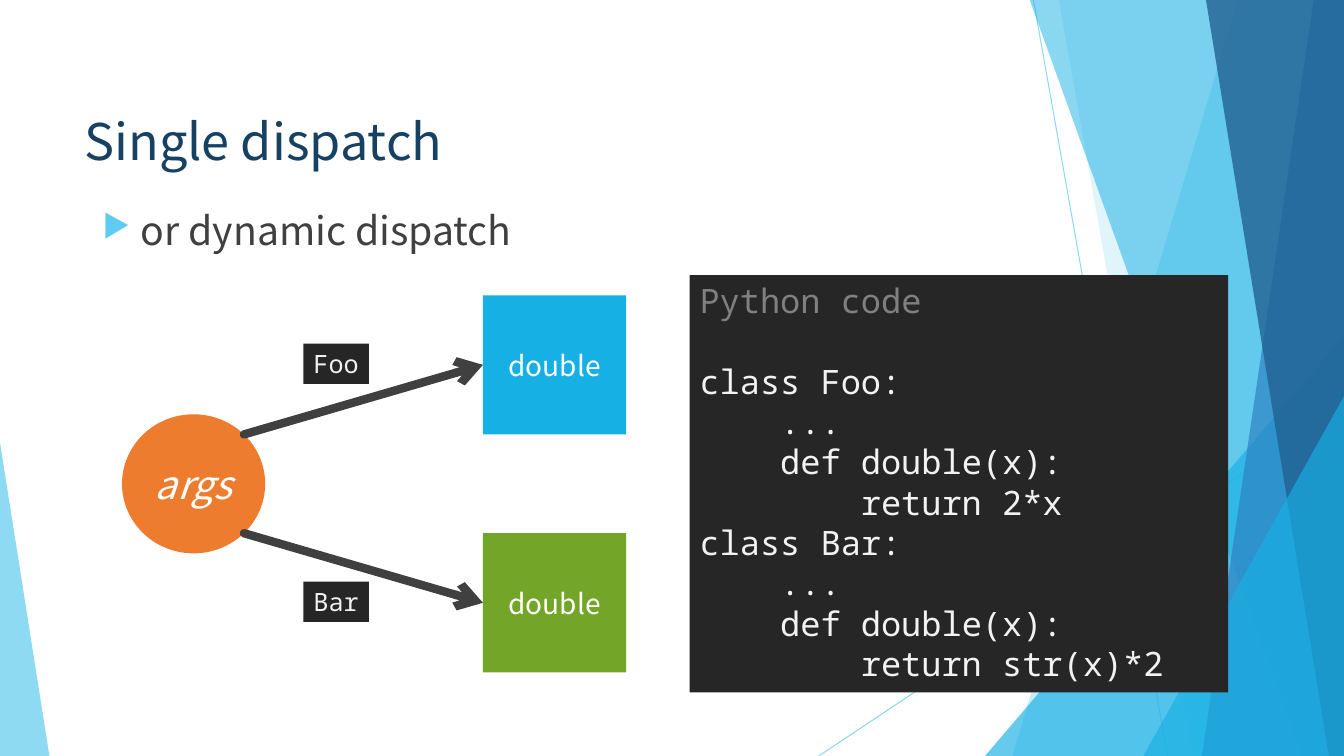
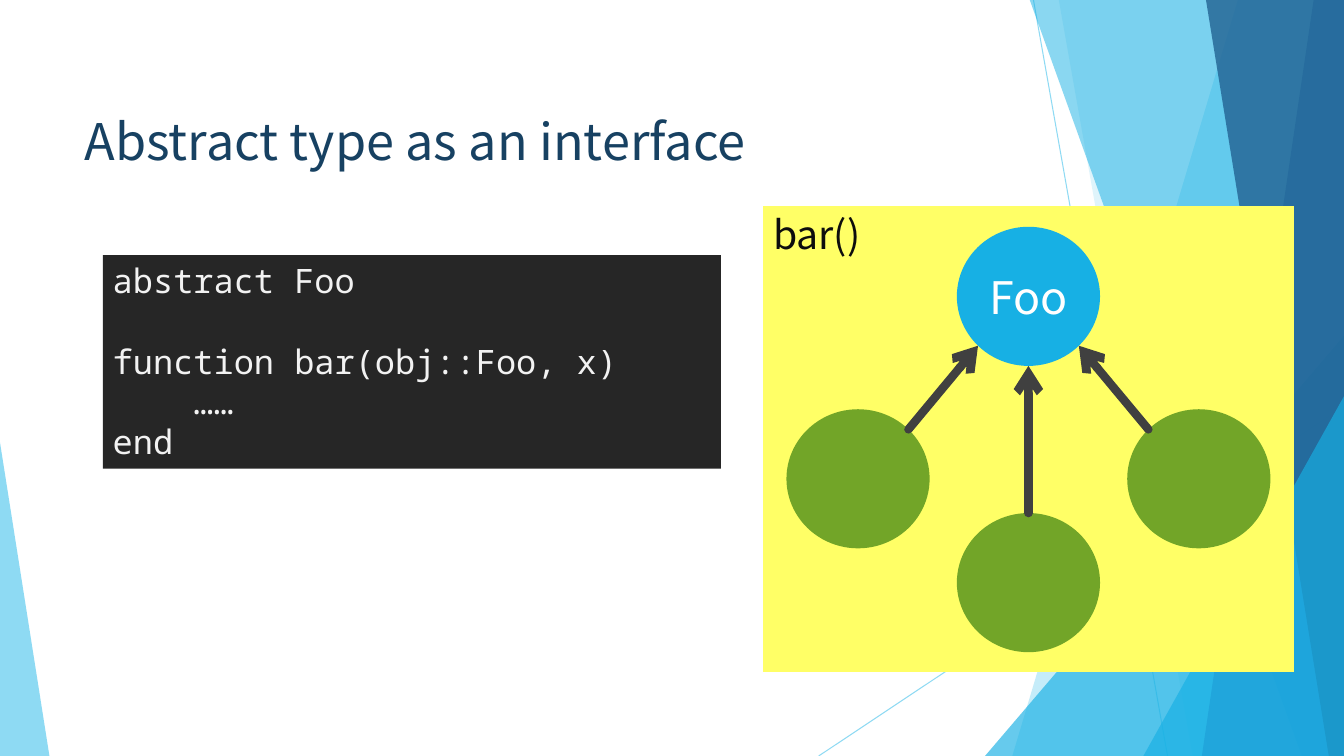
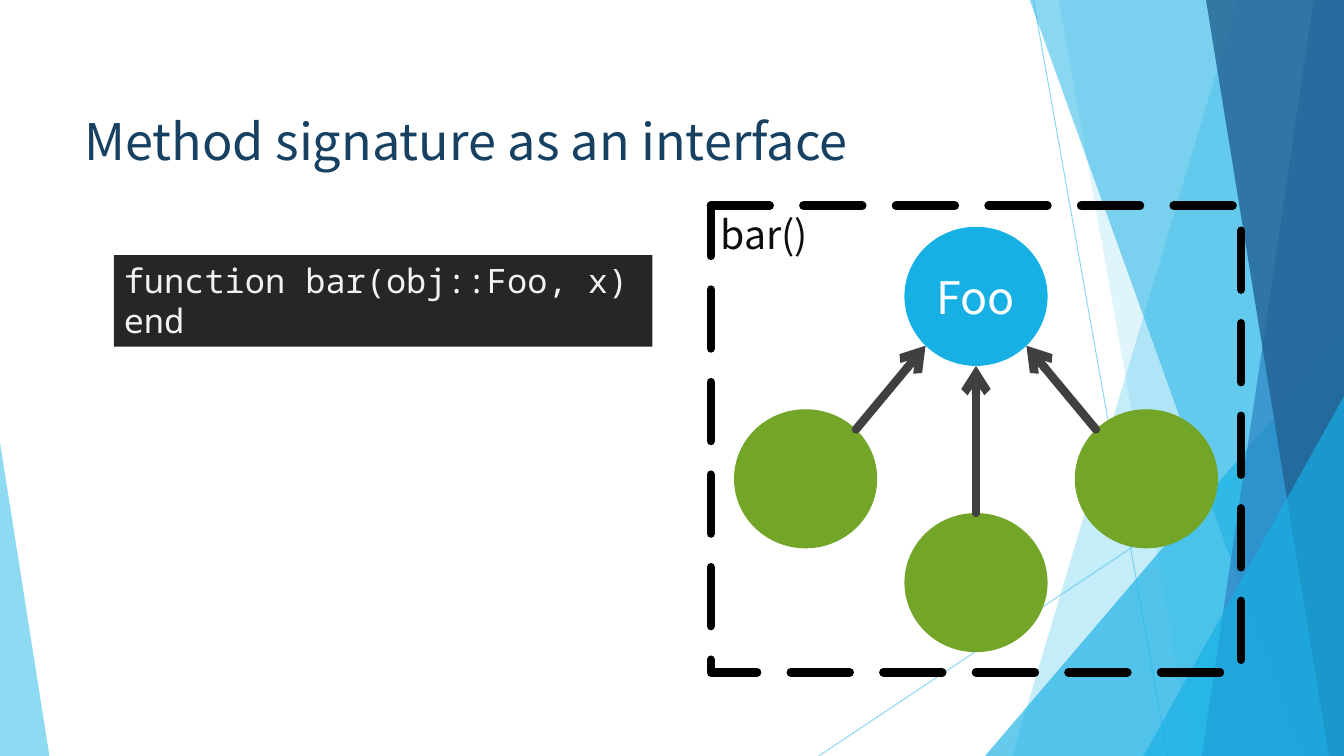
import math

import pptx
import pptx.dml.color
import pptx.enum.dml
import pptx.enum.shapes
import pptx.enum.text
import pptx.oxml
import pptx.oxml.ns
import pptx.util
from lxml import etree

PX = 9144
SLIDE_WIDTH, SLIDE_HEIGHT = 1333, 750
SANS, MONO = "Noto Sans CJK TC", "Noto Sans Mono"
SKY, CYAN, BLUE, NAVY = "5FCBEF", "17B0E4", "2E83C3", "226292"
GREEN, ORANGE, YELLOW = "72A528", "ED7C2F", "FFFF66"
TITLE, GRAPHITE, CODE_FILL, CODE_TEXT, CODE_NOTE = "174162", "404040", "262626", "F2F2F2", "808080"
WHITE, BLACK, INK = "FFFFFF", "000000", "0D0D0D"
NODE_WIDTH, NODE_HEIGHT = 142, 138
CODE_SIZE, CODE_INDENT, LINE_FACTOR = 24, 80, 1.2
SHAPES = pptx.enum.shapes.MSO_SHAPE
ANCHOR = pptx.enum.text.MSO_ANCHOR
ALIGN = pptx.enum.text.PP_ALIGN


def px(*lengths):
    """Turn pixel lengths into EMU."""
    return [pptx.util.Emu(round(length * PX)) for length in lengths]


def color(hex_string):
    """Turn a hex string into a colour."""
    return pptx.dml.color.RGBColor.from_string(hex_string)


def add_element(parent, tag, **attributes):
    """Append a drawing element to a parent."""
    element = etree.SubElement(parent, pptx.oxml.ns.qn(tag))
    for name, value in attributes.items():
        element.set(name, str(value))
    return element


def paint(fill, hex_string, opacity=100):
    """Fill with a solid colour at an opacity in percent."""
    fill.solid()
    fill.fore_color.rgb = color(hex_string)
    if opacity < 100:
        solid = fill._xPr.find(pptx.oxml.ns.qn("a:solidFill"))
        add_element(solid[0], "a:alpha", val=opacity * 1000)


def style_shape(shape, fill, opacity=100):
    """Give a shape a plain fill without outline or shadow."""
    shape.shadow.inherit = False
    shape.line.fill.background()
    if fill:
        paint(shape.fill, fill, opacity)
    else:
        shape.fill.background()
    return shape


def add_block(slide, kind, box, fill, opacity=100):
    """Add a preset shape."""
    return style_shape(slide.shapes.add_shape(kind, *px(*box)), fill, opacity)


def add_band(slide, points, fill, opacity):
    """Add a translucent outline of the backdrop."""
    builder = slide.shapes.build_freeform(*points[0], scale=PX)
    builder.add_line_segments(points[1:], close=True)
    style_shape(builder.convert_to_shape(), fill, opacity)


def add_line(slide, start, end, hex_string, width, opacity=100):
    """Add a straight line."""
    line = slide.shapes.add_connector(
        pptx.enum.shapes.MSO_CONNECTOR.STRAIGHT, *px(*start, *end))
    line.line.width = pptx.util.Pt(width)
    paint(line.line.fill, hex_string, opacity)
    add_element(line._element.spPr, "a:effectLst")
    return line


def add_arrow(slide, start, end, target=None):
    """Add a thick arrow, joined to the left side of a target if given."""
    arrow = add_line(slide, start, end, GRAPHITE, 6)
    outline = arrow.line._get_or_add_ln()
    outline.set("cap", "rnd")
    add_element(outline, "a:tailEnd", type="arrow")
    if target is not None:
        arrow.end_connect(target, 1)


def write(paragraph, text, size, hex_string, font=SANS, italic=None):
    """Add one run to a paragraph."""
    run = paragraph.add_run()
    run.text = text
    run.font.size = pptx.util.Pt(size)
    run.font.name = font
    run.font.italic = italic
    run.font.color.rgb = color(hex_string)


def set_text(shape, text, size, hex_string, anchor=ANCHOR.TOP, align=ALIGN.LEFT,
             font=SANS, italic=None):
    """Write a single paragraph into a shape."""
    frame = shape.text_frame
    frame.word_wrap = True
    frame.vertical_anchor = anchor
    paragraph = frame.paragraphs[0]
    paragraph.alignment = align
    write(paragraph, text, size, hex_string, font, italic)
    return paragraph


def add_node(slide, kind, left, top, fill, text="", size=20, italic=None):
    """Add a diagram node with an optional centred caption."""
    node = add_block(slide, kind, (left, top, NODE_WIDTH, NODE_HEIGHT), fill)
    if text:
        set_text(node, text, size, WHITE, ANCHOR.MIDDLE, ALIGN.CENTER, italic=italic)
    return node


def rim_point(left, top, across, down):
    """Find the point on a round node's rim in a direction."""
    length = math.hypot(across, down)
    return (round(left + NODE_WIDTH / 2 * (1 + across / length)),
            round(top + NODE_HEIGHT / 2 * (1 + down / length)))


def add_code(slide, box, lines, heading=""):
    """Add a code panel from (indent level, text, lines skipped above) rows."""
    frame = add_block(slide, SHAPES.RECTANGLE, box, CODE_FILL).text_frame
    frame.word_wrap = True
    frame.vertical_anchor = ANCHOR.TOP
    for index, (level, text, skipped) in enumerate(lines):
        paragraph = frame.add_paragraph() if index else frame.paragraphs[0]
        paragraph.alignment = ALIGN.LEFT
        paragraph.line_spacing = pptx.util.Pt(CODE_SIZE * LINE_FACTOR)
        paragraph.space_before = pptx.util.Pt(skipped * CODE_SIZE * LINE_FACTOR)
        paragraph._p.get_or_add_pPr().set("marL", str(level * CODE_INDENT * PX))
        write(paragraph, text, CODE_SIZE, CODE_NOTE if text == heading else CODE_TEXT, MONO)


def add_type_label(slide, top, text):
    """Add a small code label beside an arrow."""
    label = add_block(slide, SHAPES.RECTANGLE, (301, top, 65, 40), CODE_FILL)
    paragraph = set_text(label, text, 18, CODE_TEXT, font=MONO)
    paragraph.line_spacing = pptx.util.Pt(18 * LINE_FACTOR)
    label.text_frame.word_wrap = False


def add_bullet(slide, box, text):
    """Add a text box with one bulleted paragraph."""
    paragraph = set_text(slide.shapes.add_textbox(*px(*box)), text, 28, GRAPHITE)
    paragraph.space_before = pptx.util.Pt(10)
    properties = paragraph._p.get_or_add_pPr()
    properties.set("marL", str(38 * PX))
    properties.set("indent", str(-38 * PX))
    add_element(add_element(properties, "a:buClr"), "a:srgbClr", val=SKY)
    add_element(properties, "a:buSzPct", val=80000)
    add_element(properties, "a:buChar", char="▶")


def add_triangle(slide, box, apex, fill, opacity):
    """Add a backdrop triangle with its apex at a share of the width."""
    triangle = add_block(slide, SHAPES.ISOSCELES_TRIANGLE, box, fill, opacity)
    triangle.adjustments[0] = apex


def add_right_band(slide, top_left, bottom_left, fill, opacity):
    """Add a band that runs from a slanted edge to the right side."""
    add_band(slide, [(top_left, -1), (SLIDE_WIDTH, -1), (SLIDE_WIDTH, SLIDE_HEIGHT),
                     (bottom_left, SLIDE_HEIGHT)], fill, opacity)


def add_backdrop(slide):
    """Draw the facets shared by all slides."""
    add_line(slide, (1025, 0), (1158, SLIDE_HEIGHT), SKY, 0.75, 70)
    add_line(slide, (SLIDE_WIDTH, 403), (812, SLIDE_HEIGHT), SKY, 0.75, 70)
    add_right_band(slide, 1228, 1004, SKY, 36)
    add_right_band(slide, 1050, 1183, SKY, 20)
    add_triangle(slide, (977, 333, 356, 417), 1, CYAN, 66)
    add_right_band(slide, 1021, 1291, CYAN, 50)
    add_right_band(slide, 1303, 1192, BLUE, 70)
    add_right_band(slide, 1196, 1318, NAVY, 80)
    add_triangle(slide, (1134, 393, 199, 357), 1, CYAN, 66)
    add_triangle(slide, (0, 439, 49, 311), 0, SKY, 70)


def add_slide(presentation, title):
    """Add a slide with the backdrop and a title."""
    slide = presentation.slides.add_slide(presentation.slide_layouts[6])
    add_backdrop(slide)
    box = slide.shapes.add_textbox(*px(74, 67, 940, 144))
    set_text(box, title, 36, TITLE, ANCHOR.MIDDLE)
    return slide


def add_interface(slide, left, fill=None):
    """Draw a type with three subtypes in a filled or dashed frame."""
    frame = add_block(slide, SHAPES.FLOWCHART_PROCESS, (left, 204, 526, 463), fill)
    set_text(frame, "bar()", 28, INK)
    if not fill:
        paint(frame.line.fill, BLACK)
        frame.line.width = pptx.util.Pt(6)
        frame.line.dash_style = pptx.enum.dml.MSO_LINE.LONG_DASH
        outline = frame.line._get_or_add_ln()
        outline.set("cap", "rnd")
        add_element(outline, "a:round")
    parent_left, parent_top = left + 192, 225
    add_node(slide, SHAPES.OVAL, parent_left, parent_top, CYAN, "Foo", 32)
    for side in (0, -1, 1):
        child_left = parent_left + side * 169
        child_top = 406 if side else 509
        add_node(slide, SHAPES.OVAL, child_left, child_top, GREEN)
        add_arrow(slide, rim_point(child_left, child_top, -side, -1),
                  rim_point(parent_left, parent_top, side, 1))


def build_single_dispatch(presentation):
    """Build the slide on single dispatch."""
    slide = add_slide(presentation, "Single dispatch")
    add_bullet(slide, (92, 200, 550, 476), "or dynamic dispatch")
    add_code(slide, (684, 273, 534, 414), [
        (0, "Python code", 0),
        (0, "class Foo:", 1),
        (1, "...", 0),
        (1, "def double(x):", 0),
        (2, "return 2*x", 0),
        (0, "class Bar:", 0),
        (1, "...", 0),
        (1, "def double(x):", 0),
        (2, "return str(x)*2", 0),
    ], heading="Python code")
    args_left, args_top = 121, 411
    add_node(slide, SHAPES.OVAL, args_left, args_top, ORANGE, "args", 28, True)
    for name, top, fill, down in (("Foo", 293, CYAN, -1), ("Bar", 529, GREEN, 1)):
        method = add_node(slide, SHAPES.RECTANGLE, 479, top, fill, "double")
        add_arrow(slide, rim_point(args_left, args_top, 1, down),
                  (479, top + NODE_HEIGHT // 2), method)
        add_type_label(slide, top + 48, name)


def build_abstract_type(presentation):
    """Build the slide on abstract types."""
    slide = add_slide(presentation, "Abstract type as an interface")
    add_interface(slide, 757, YELLOW)
    add_code(slide, (102, 253, 613, 212), [
        (0, "abstract Foo", 0),
        (0, "function bar(obj::Foo, x)", 1),
        (1, "……", 0),
        (0, "end", 0),
    ])


def build_method_signature(presentation):
    """Build the slide on method signatures."""
    slide = add_slide(presentation, "Method signature as an interface")
    add_code(slide, (113, 253, 534, 91), [
        (0, "function bar(obj::Foo, x)", 0),
        (0, "end", 0),
    ])
    add_interface(slide, 705)


def main():
    """Build and save the presentation."""
    presentation = pptx.Presentation()
    presentation.slide_width, presentation.slide_height = px(SLIDE_WIDTH, SLIDE_HEIGHT)
    build_single_dispatch(presentation)
    build_abstract_type(presentation)
    build_method_signature(presentation)
    presentation.save("out.pptx")


if __name__ == "__main__":
    main()
